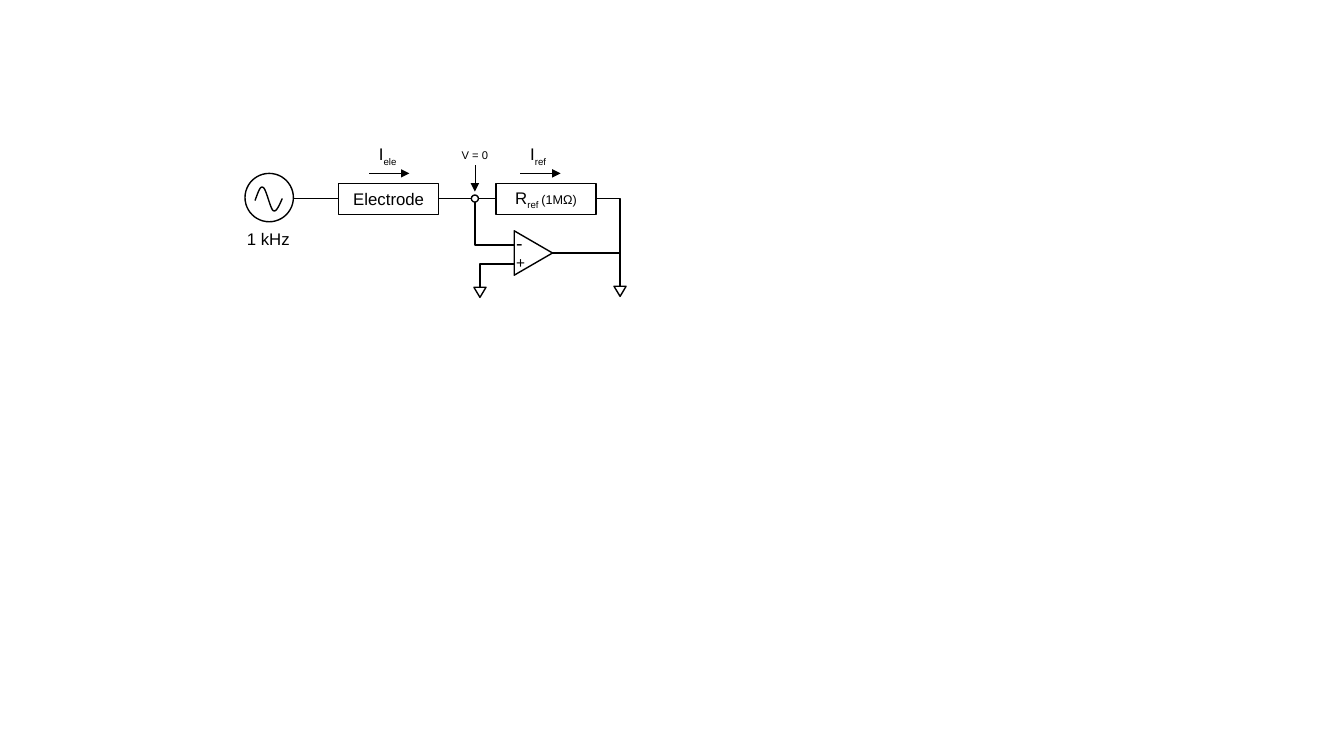
import pptx
import pptx.dml.color
import pptx.enum.shapes
import pptx.enum.text
import pptx.oxml.ns
import pptx.util
from lxml import etree
from pptx.util import Inches

SHAPES = pptx.enum.shapes.MSO_SHAPE
ALIGN = pptx.enum.text.PP_ALIGN
ANCHOR = pptx.enum.text.MSO_ANCHOR
BLACK = "000000"
WHITE = "FFFFFF"
SUBSCRIPT = "-25000"
RAIL = 1.97
NODE = 4.71
OUTPUT = 6.15


def color(value):
    """Return the colour for a hex string."""
    return pptx.dml.color.RGBColor.from_string(value)


def set_line(shape, width=1):
    """Draw the shape's line in black."""
    shape.line.color.rgb = color(BLACK)
    shape.line.width = pptx.util.Pt(width)


def write(shape, parts, size):
    """Write (text, size, subscript) parts into the shape's paragraph."""
    paragraph = shape.text_frame.paragraphs[0]
    paragraph.font.name = "Arial"
    paragraph.font.size = pptx.util.Pt(size)
    paragraph.font.color.rgb = color(BLACK)
    for text, run_size, subscript in parts:
        run = paragraph.add_run()
        run.text = text
        if run_size != size:
            run.font.size = pptx.util.Pt(run_size)
        if subscript:
            run._r.get_or_add_rPr().set("baseline", SUBSCRIPT)
    return paragraph


def add_label(slide, left, top, width, height, parts, size, wrap=False):
    """Add a text box."""
    label = slide.shapes.add_textbox(Inches(left), Inches(top), Inches(width), Inches(height))
    label.text_frame.word_wrap = wrap
    write(label, parts, size)


def add_outline(slide, kind, left, top, width, height, rotation=0, fill=None):
    """Add a black-outlined preset shape."""
    shape = slide.shapes.add_shape(kind, Inches(left), Inches(top), Inches(width), Inches(height))
    shape.shadow.inherit = False
    shape.rotation = rotation
    if fill:
        shape.fill.solid()
        shape.fill.fore_color.rgb = color(fill)
    else:
        shape.fill.background()
    set_line(shape)
    return shape


def add_wire(slide, points):
    """Add an open line through the points."""
    corners = [(Inches(x), Inches(y)) for x, y in points]
    builder = slide.shapes.build_freeform(*corners[0])
    builder.add_line_segments(corners[1:], close=False)
    wire = builder.convert_to_shape()
    wire.shadow.inherit = False
    wire.fill.background()
    set_line(wire)


def add_straight(slide, start, end, width=1, arrow=False):
    """Add a straight connector, with an arrowhead if asked."""
    connector = slide.shapes.add_connector(
        pptx.enum.shapes.MSO_CONNECTOR.STRAIGHT, *(Inches(value) for value in (*start, *end)))
    set_line(connector, width)
    if arrow:
        line = connector.line._get_or_add_ln()
        etree.SubElement(line, pptx.oxml.ns.qn("a:tailEnd"), type="triangle")
    etree.SubElement(connector._element.spPr, pptx.oxml.ns.qn("a:effectLst"))


def bezier(start, first, second, end, steps=12):
    """Return points along a cubic curve, without its start."""
    points = []
    for step in range(1, steps + 1):
        t = step / steps
        weights = ((1 - t) ** 3, 3 * t * (1 - t) ** 2, 3 * t ** 2 * (1 - t), t ** 3)
        points.append(tuple(sum(weight * value for weight, value in zip(weights, axis))
                            for axis in zip(start, first, second, end)))
    return points


def add_source(slide, left, top, size):
    """Add the 1 kHz sine source in a square box."""
    add_outline(slide, SHAPES.OVAL, left, top, size, size)
    controls = [(0.1, 0.27), (0.13, 0.19), (0.15, 0.12), (0.18, 0.14), (0.21, 0.15),
                (0.25, 0.35), (0.28, 0.37), (0.31, 0.39), (0.34, 0.32), (0.37, 0.25)]
    wave = controls[:1]
    for index in range(0, 9, 3):
        wave += bezier(*controls[index:index + 4])
    add_wire(slide, [(left + x, top + y) for x, y in wave])
    add_label(slide, left - 0.08, top + 0.5, 0.63, 0.3, [("1 kHz", 12, False)], 12)


def add_component(slide, left, top, width, height, parts):
    """Add a labelled circuit component."""
    box = add_outline(slide, SHAPES.RECTANGLE, left, top, width, height)
    box.text_frame.vertical_anchor = ANCHOR.MIDDLE
    write(box, parts, 12).alignment = ALIGN.CENTER


def add_current(slide, left, top, width, name):
    """Add a current symbol above its arrow."""
    add_label(slide, left, top, width, 0.3, [("I", 12, False), (name, 12, True)], 12)
    add_straight(slide, (left, top + 0.34), (left + 0.4, top + 0.34), 0.5, arrow=True)


def add_ground(slide, center, top):
    """Add a ground symbol pointing down."""
    add_outline(slide, SHAPES.ISOSCELES_TRIANGLE, center - 0.06, top, 0.12, 0.1, 180)


def add_amplifier(slide, left, top, width, height):
    """Add the operational amplifier in its upright box."""
    shift = (height - width) / 2
    add_outline(slide, SHAPES.ISOSCELES_TRIANGLE, left - shift, top + shift, height, width, 90)
    add_label(slide, left - 0.08, top - 0.05, 0.31, 0.34, [("-", 14, False)], 14, True)
    add_label(slide, left - 0.08, top + 0.17, 0.31, 0.29, [("+", 11, False)], 11, True)


def add_wiring(slide):
    """Add the wires and grounds between the parts."""
    add_wire(slide, [(4.76, 2.86), (4.76, 2.62), (5.1, 2.62)])
    add_wire(slide, [(4.92, RAIL), (NODE, RAIL), (NODE, 2.43), (5.1, 2.43)])
    add_wire(slide, [(5.91, RAIL), (OUTPUT, RAIL), (OUTPUT, 2.84)])
    add_straight(slide, (4.35, RAIL), (NODE, RAIL))
    add_straight(slide, (2.91, RAIL), (3.36, RAIL))
    add_straight(slide, (5.47, 2.51), (OUTPUT, 2.51))
    add_ground(slide, 4.76, 2.85)
    add_ground(slide, OUTPUT, 2.84)


def add_node(slide, center, middle, size):
    """Add the zero-voltage node with its label and arrow."""
    add_outline(slide, SHAPES.OVAL, center - size / 2, middle - size / 2, size, size, fill=WHITE)
    add_straight(slide, (center, middle - 0.33), (center, middle - 0.07), 0.5, arrow=True)
    add_label(slide, center - 0.23, middle - 0.55, 0.47, 0.24, [("V = 0", 8, False)], 8)


def main():
    """Build the circuit slide."""
    presentation = pptx.Presentation()
    presentation.slide_width = Inches(13.33)
    presentation.slide_height = Inches(7.5)
    slide = presentation.slides.add_slide(presentation.slide_layouts[6])
    add_component(slide, 3.36, 1.82, 0.99, 0.31, [("Electrode", 12, False)])
    add_component(slide, 4.92, 1.82, 0.99, 0.31,
                  [("R", 12, False), ("ref ", 12, True), ("(1MΩ)", 9, False)])
    add_amplifier(slide, 5.1, 2.29, 0.38, 0.44)
    add_wiring(slide)
    add_source(slide, 2.43, 1.72, 0.48)
    add_node(slide, NODE, RAIL, 0.07)
    add_current(slide, 3.66, 1.38, 0.4, "ele")
    add_current(slide, 5.16, 1.38, 0.38, "ref")
    presentation.save("out.pptx")


if __name__ == "__main__":
    main()
